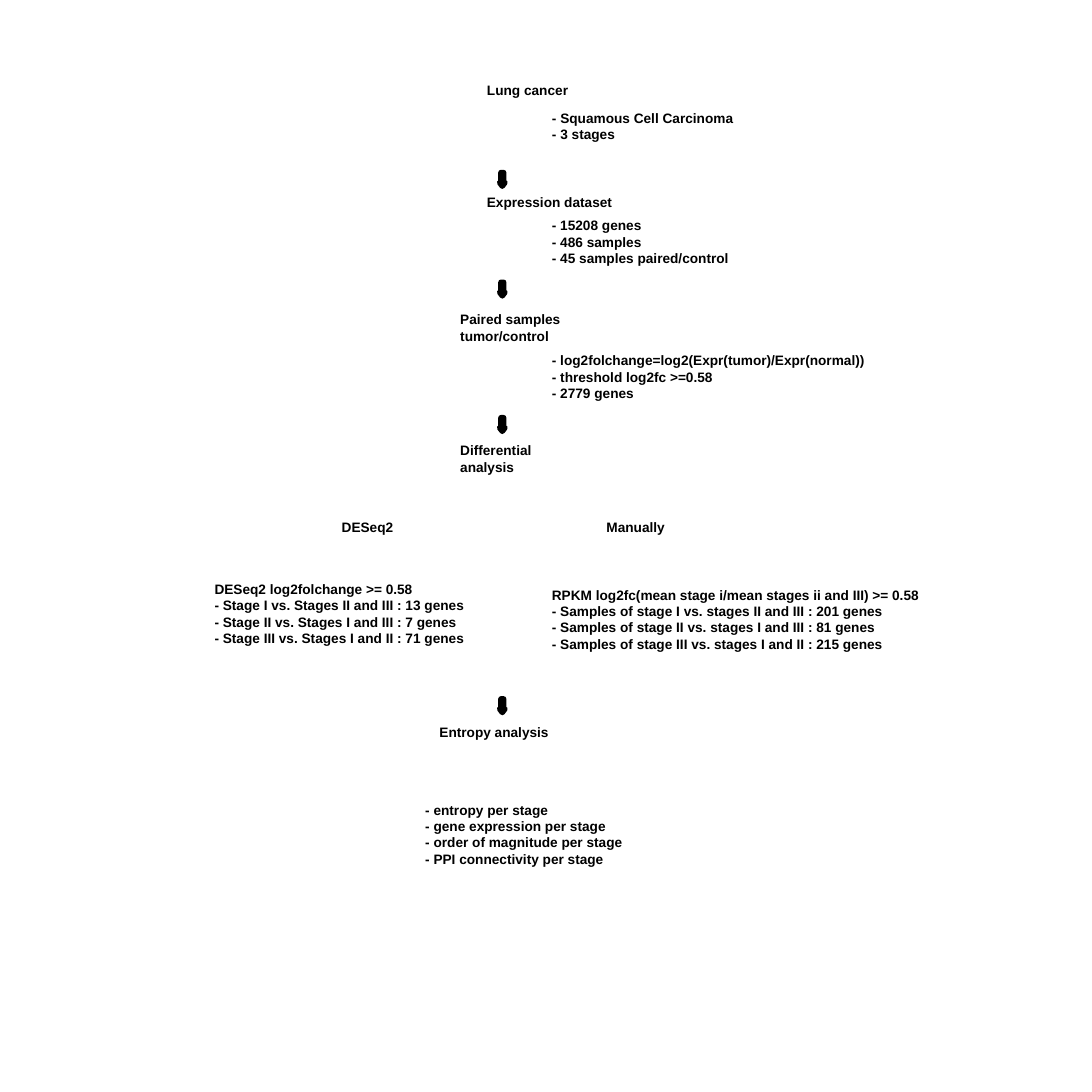
from pptx import Presentation
from pptx.dml.color import RGBColor
from pptx.enum.shapes import MSO_SHAPE as Preset
from pptx.enum.text import MSO_ANCHOR as Anchor, MSO_AUTO_SIZE as AutoSize, PP_ALIGN as Align
from pptx.oxml.ns import qn
from pptx.util import Pt

BLACK = RGBColor(0, 0, 0)
SIDE = 1440
DETAIL_LEFT = 720.7
STEP_LEFT = 635
NARROW_STEP_LEFT = 599.8

TITLE = ("Lung cancer", STEP_LEFT, 104.4, 192, 88)
CANCER_TYPE = ("- Squamous Cell Carcinoma\n- 3 stages", DETAIL_LEFT, 141, 287, 68)

TEXTS = [
    ("Expression dataset", STEP_LEFT, 252, 192, 88),
    ("- 15208 genes\n- 486 samples\n- 45 samples paired/control",
     DETAIL_LEFT, 283, 341, 88),
    ("Paired samples tumor/control", NARROW_STEP_LEFT, 406.8, 162, 47.5),
    ("- log2folchange=log2(Expr(tumor)/Expr(normal))\n"
     "- threshold log2fc >=0.58\n"
     "- 2779 genes", DETAIL_LEFT, 460.8, 719, 126),
    ("Differential analysis", NARROW_STEP_LEFT, 579.6, 138, 47.5),
    ("DESeq2", 443.5, 681.1, 108, 27.4),
    ("Manually", 792.7, 681.1, 108, 27.4),
    ("DESeq2 log2folchange >= 0.58\n"
     "- Stage I vs. Stages II and III : 13 genes\n"
     "- Stage II vs. Stages I and III : 7 genes\n"
     "- Stage III vs. Stages I and II : 71 genes", 275.8, 762.5, 361, 108),
    ("RPKM log2fc(mean stage i/mean stages ii and III) >= 0.58\n"
     "- Samples of stage I vs. stages II and III : 201 genes\n"
     "- Samples of stage II vs. stages I and III : 81 genes\n"
     "- Samples of stage III vs. stages I and II : 215 genes",
     DETAIL_LEFT, 769.7, 557, 126),
    ("Entropy analysis", 572.4, 951.1, 184, 27.4),
    ("- entropy per stage\n- gene expression per stage\n"
     "- order of magnitude per stage\n- PPI connectivity per stage",
     553.7, 1053.4, 333, 128),
]

ARROW_TOPS = [227.5, 372.2, 550.8, 921.6]


class Flowchart:
    font_name = "Arial"
    font_size = Pt(18)
    color = BLACK

    def __init__(self, page):
        self.page = page

    def fill_text(self, box, text):
        frame = box.text_frame
        frame.text = text
        frame.word_wrap = True
        frame.auto_size = AutoSize.NONE
        frame.vertical_anchor = Anchor.TOP
        for para in frame.paragraphs:
            para.alignment = Align.LEFT
            para.space_before = Pt(0)
            for span in para.runs:
                span.font.name = self.font_name
                span.font.size = self.font_size
                span.font.bold = True
                span.font.color.rgb = self.color

    def placeholder(self, index, text, left, top, width, height):
        box = self.page.placeholders[index]
        box.left, box.top = Pt(left), Pt(top)
        box.width, box.height = Pt(width), Pt(height)
        self.fill_text(box, text)
        return box

    def title(self, *content):
        self.placeholder(0, *content)

    def body(self, *content):
        box = self.placeholder(1, *content)
        for para in box.text_frame.paragraphs:
            properties = para._p.get_or_add_pPr()
            properties.set("marL", "0")
            properties.set("indent", "0")
            properties.append(properties.makeelement(qn("a:buNone"), {}))

    def text(self, text, left, top, width, height):
        box = self.page.shapes.add_textbox(Pt(left), Pt(top), Pt(width), Pt(height))
        self.fill_text(box, text)

    def arrow(self, top):
        arrow = self.page.shapes.add_shape(
            Preset.DOWN_ARROW, Pt(658.8), Pt(top), Pt(7.2), Pt(18))
        arrow.adjustments[0] = 0.5
        arrow.adjustments[1] = 0.66
        arrow.shadow.inherit = False
        arrow.fill.solid()
        arrow.fill.fore_color.rgb = self.color
        arrow.line.color.rgb = self.color
        arrow.line.width = Pt(7.2)


def main():
    deck = Presentation()
    deck.slide_width = deck.slide_height = Pt(SIDE)
    chart = Flowchart(deck.slides.add_slide(deck.slide_layouts[1]))
    chart.title(*TITLE)
    chart.body(*CANCER_TYPE)
    for content in TEXTS:
        chart.text(*content)
    for top in ARROW_TOPS:
        chart.arrow(top)
    deck.save("out.pptx")


if __name__ == "__main__":
    main()
